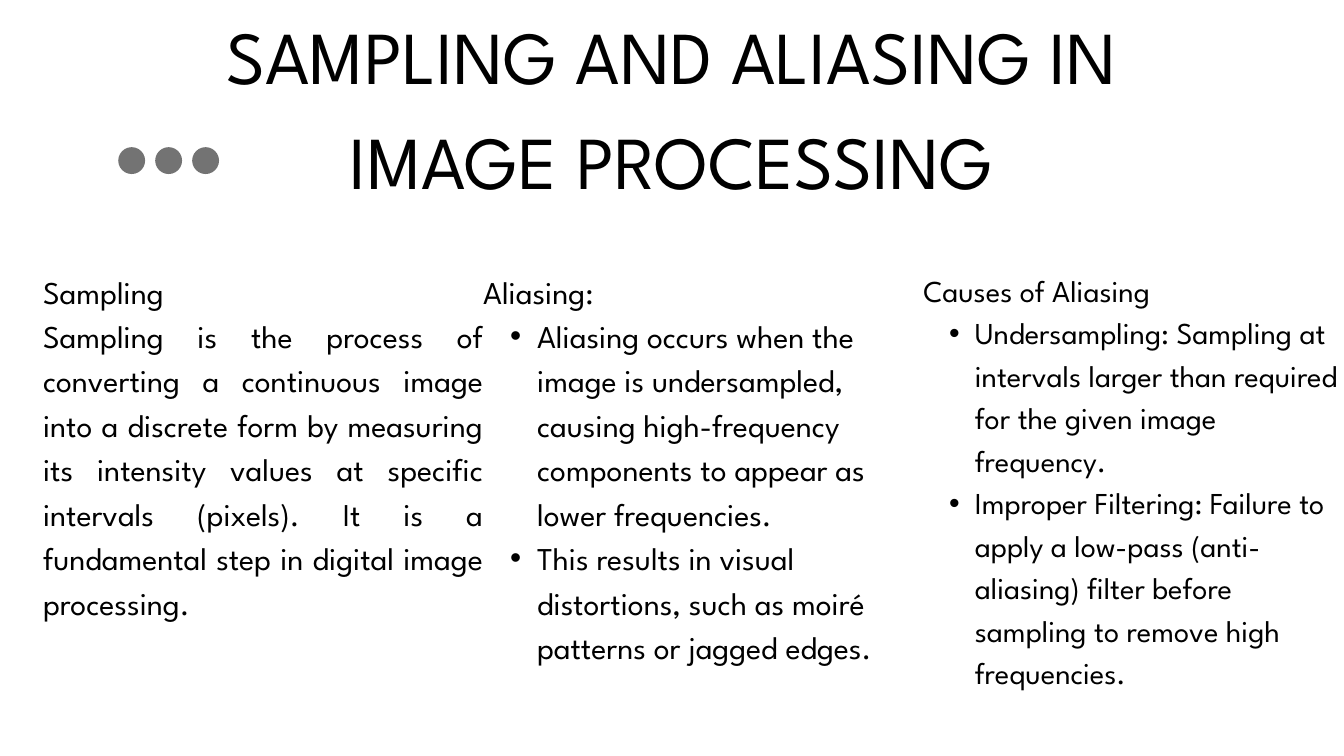
from lxml import etree
from pptx import Presentation
from pptx.dml.color import RGBColor
from pptx.enum import shapes, text
from pptx.oxml import ns
from pptx.util import Pt

HEX = {"ink": "000000", "dot": "737373", "back": "FFFFFF"}
ALIGN = text.PP_ALIGN
LEFT, MID, FULL = ALIGN.LEFT, ALIGN.CENTER, ALIGN.JUSTIFY


def color(name):
    return RGBColor.from_string(HEX[name])


class Deck:
    font = "League Spartan"
    lead = 1.4    # line pitch per point of text size
    inset = 1.7   # bullet text indent per point of text size

    def __init__(self, wide, high):
        self.prs = Presentation()
        self.prs.slide_width, self.prs.slide_height = Pt(wide), Pt(high)
        self.slide = self.prs.slides.add_slide(self.prs.slide_layouts[6])
        fill = self.slide.background.fill
        fill.solid()
        fill.fore_color.rgb = color("back")

    def bullet(self, para, size):
        para.level = 1
        props = para._p.get_or_add_pPr()
        props.set("marL", str(Pt(size * self.inset)))
        props.set("indent", str(-Pt(size * self.inset / 2)))
        face = etree.SubElement(props, ns.qn("a:buFont"))
        face.set("typeface", "Arial")
        mark = etree.SubElement(props, ns.qn("a:buChar"))
        mark.set("char", "•")

    def block(self, box, size, lines):
        """Add a text box; each line is (words, alignment, has bullet)."""
        frame = self.slide.shapes.add_textbox(*map(Pt, box)).text_frame
        form = {"margin_left": 0, "margin_top": 0, "margin_right": 0,
                "margin_bottom": 0, "word_wrap": True,
                "auto_size": text.MSO_AUTO_SIZE.SHAPE_TO_FIT_TEXT}
        for key, value in form.items():
            setattr(frame, key, value)
        for i, (words, align, dotted) in enumerate(lines):
            para = frame.add_paragraph() if i else frame.paragraphs[0]
            para.alignment = align
            para.line_spacing = Pt(size * self.lead)
            if dotted:
                self.bullet(para, size)
            run = para.add_run()
            run.text = words
            for key, value in {"name": self.font, "size": Pt(size)}.items():
                setattr(run.font, key, value)
            run.font.color.rgb = color("ink")

    def dot(self, left, top, size):
        oval = self.slide.shapes.add_shape(
            shapes.MSO_SHAPE.OVAL, Pt(left), Pt(top), Pt(size), Pt(size))
        oval.shadow.inherit = False
        oval.fill.solid()
        oval.fill.fore_color.rgb = color("dot")
        oval.line.fill.background()


def main():
    deck = Deck(1440, 810)
    deck.block((151.2, -5, 1137.6, 220.3), 80,
               [("SAMPLING AND ALIASING IN IMAGE PROCESSING", MID, False)])
    for i in range(3):
        deck.dot(126.7 + i * 39.6, 157.7, 28.8)

    cols = [
        (471.6, 470.9, 34, [
            ("Sampling", LEFT, False),
            ("Sampling is the process of converting a continuous image into "
             "a discrete form by measuring its intensity values at specific "
             "intervals (pixels). It is a fundamental step in digital image "
             "processing.", FULL, False)]),
        (471.6, 518.4, 34, [
            ("Aliasing:", LEFT, False),
            ("Aliasing occurs when the image is undersampled, causing "
             "high-frequency components to appear as lower frequencies.",
             LEFT, True),
            ("This results in visual distortions, such as moiré patterns or "
             "jagged edges.", LEFT, True)]),
        (450.7, 540.7, 32.5, [
            ("Causes of Aliasing", LEFT, False),
            ("Undersampling: Sampling at intervals larger than required for "
             "the given image frequency.", LEFT, True),
            ("Improper Filtering: Failure to apply a low-pass (anti-aliasing) "
             "filter before sampling to remove high frequencies.",
             LEFT, True)]),
    ]
    left = 46.1
    for wide, high, size, lines in cols:
        deck.block((left, 285.1, wide, high), size, lines)
        left += wide
    deck.prs.save("out.pptx")


if __name__ == "__main__":
    main()
